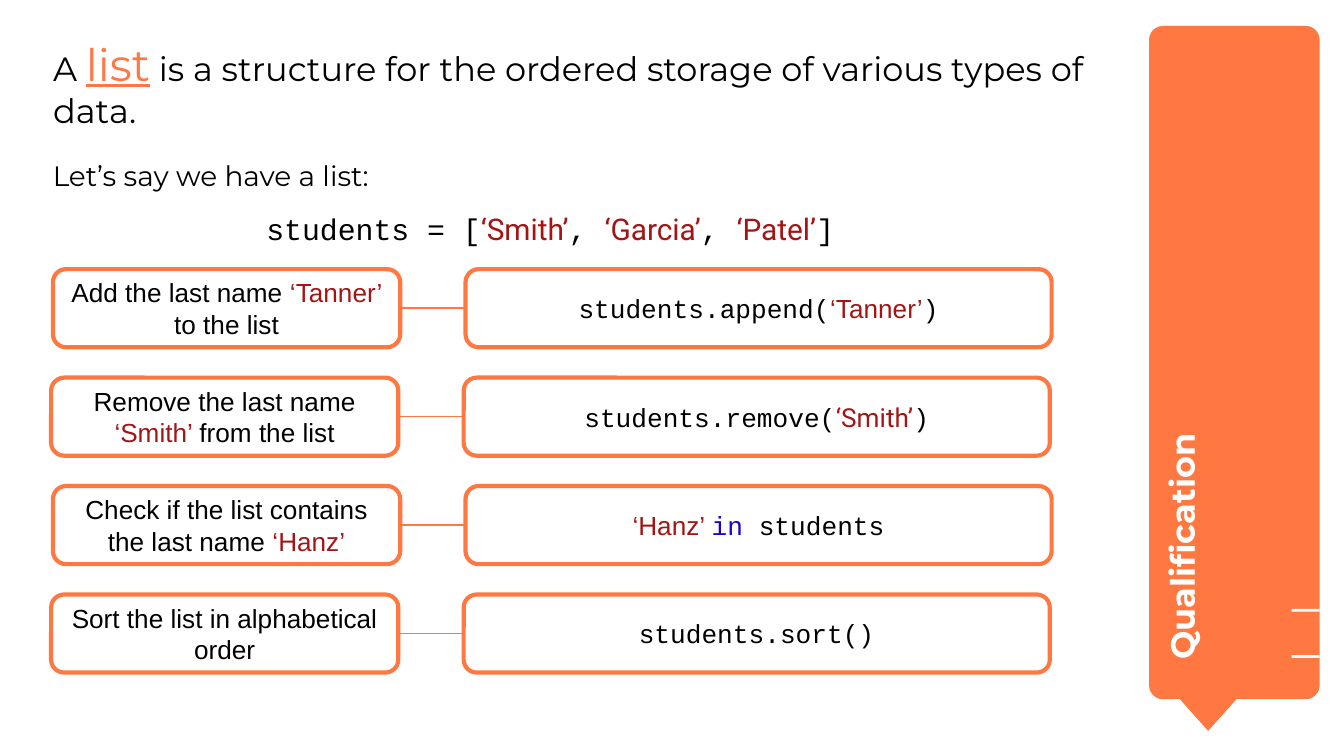
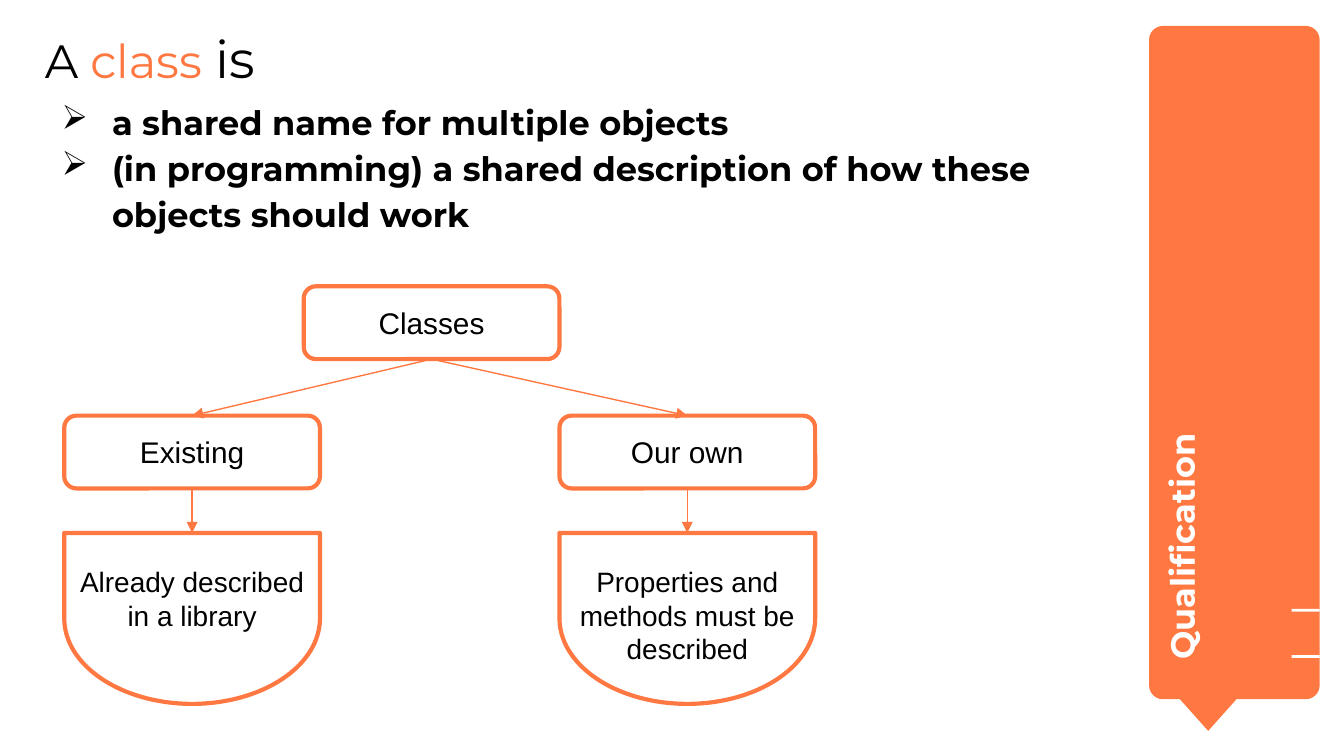
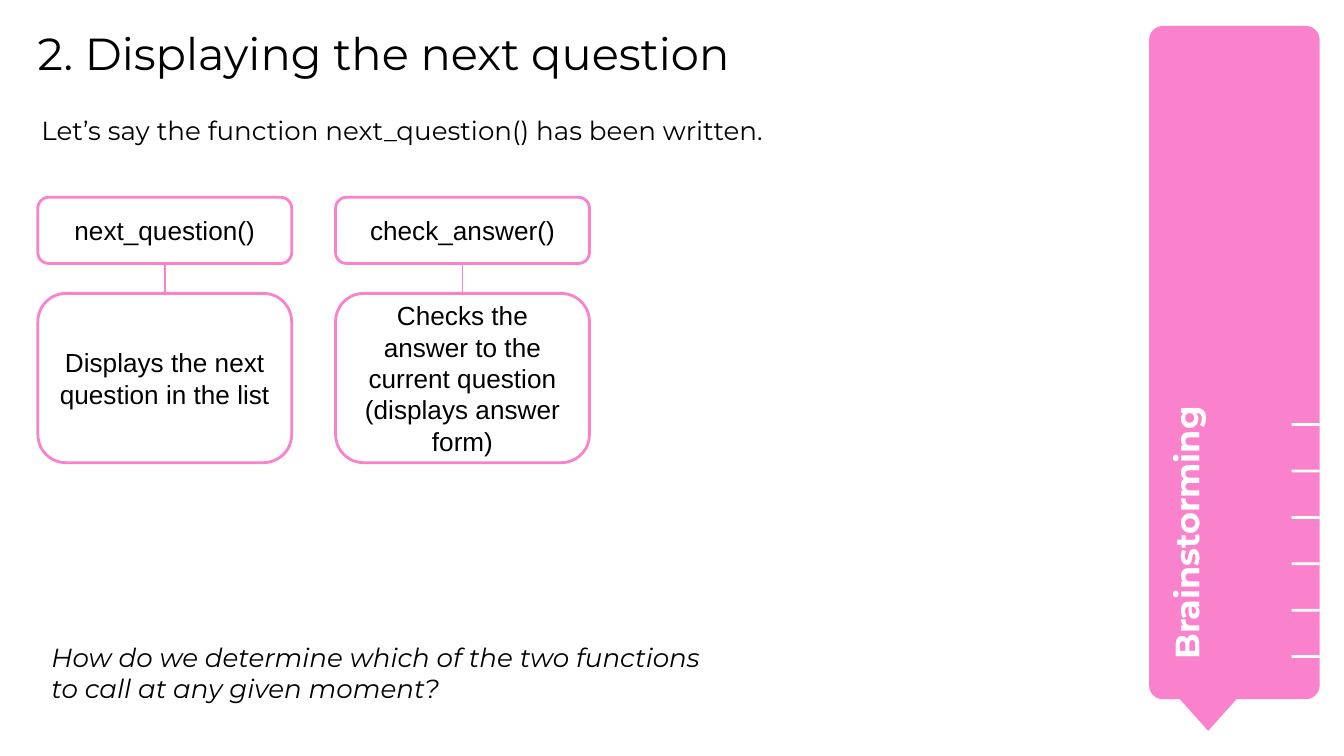
from pptx import Presentation
from pptx.dml.color import RGBColor
from pptx.enum.shapes import MSO_CONNECTOR, MSO_SHAPE
from pptx.enum.text import MSO_ANCHOR, MSO_AUTO_SIZE, PP_ALIGN
from pptx.oxml.ns import qn
from pptx.util import Pt
from lxml import etree

ROUND, MERGE = MSO_SHAPE.ROUNDED_RECTANGLE, MSO_SHAPE.FLOWCHART_MERGE
DELAY, RECT = MSO_SHAPE.FLOWCHART_DELAY, MSO_SHAPE.RECTANGLE
STRAIGHT = MSO_CONNECTOR.STRAIGHT
LEFT, CENTER = PP_ALIGN.LEFT, PP_ALIGN.CENTER
TOP, MIDDLE = MSO_ANCHOR.TOP, MSO_ANCHOR.MIDDLE
NO_FIT = MSO_AUTO_SIZE.NONE
SITE = {"top": 0, "left": 1, "bottom": 2, "right": 3}

# Shared colours and text formats
COLORS = {
    "orange": "FF7842", "pink": "FA82CC", "white": "FFFFFF",
    "black": "000000", "red": "A31515", "blue": "1C00CF",
}
SANS = {"name": "Montserrat", "color": "black"}
PLAIN = {"name": "Arial", "size": 14, "color": "black"}
CODE = {**PLAIN, "name": "Courier New"}
TAB = {**SANS, "size": 18, "bold": True, "color": "white"}
RED = {"color": "red"}
RED_ARIAL = {**RED, "name": "Arial"}
RED_ROBOTO = {**RED, "name": "Roboto"}


def rgb(name):
    return RGBColor.from_string(COLORS[name])


# Text
def write(para, runs, base, align=LEFT, **space):
    """Fill a paragraph with strings or (string, format changes) pairs."""
    para.alignment = align
    for key, value in space.items():
        setattr(para, key, value)
    for item in [runs] if isinstance(runs, str) else runs:
        text, change = (item, {}) if isinstance(item, str) else item
        run = para.add_run()
        run.text = text
        for key, value in {**base, **change}.items():
            if key == "color":
                run.font.color.rgb = rgb(value)
            else:
                setattr(run.font, key, Pt(value) if key == "size" else value)


def frame(shape, inset=7.2, anchor=TOP):
    body = shape.text_frame
    form = {"word_wrap": True, "auto_size": NO_FIT, "vertical_anchor": anchor}
    for side in ("left", "right", "top", "bottom"):
        form["margin_" + side] = Pt(inset)
    for key, value in form.items():
        setattr(body, key, value)
    return body


def note(slide, area, runs, base, align=LEFT, inset=7.2):
    box = slide.shapes.add_textbox(*map(Pt, area))
    write(frame(box, inset).paragraphs[0], runs, base, align)
    return box


def title(slide, area, runs, base, **space):
    head = slide.shapes.title
    head.left, head.top, head.width, head.height = map(Pt, area)
    write(frame(head, 0).paragraphs[0], runs, base, **space)


def bullet(para, text, base):
    write(para, text, base, line_spacing=1.15)
    props = para._p.get_or_add_pPr()
    props.set("marL", str(Pt(36)))
    props.set("indent", str(-Pt(27)))
    etree.SubElement(props, qn("a:buChar")).set("char", "➢")


# Shapes and lines
def solid(shapes, kind, area, fill, line=None, width=2.25):
    shape = shapes.add_shape(kind, *map(Pt, area))
    shape.shadow.inherit = False
    shape.fill.solid()
    shape.fill.fore_color.rgb = rgb(fill)
    if line:
        shape.line.color.rgb = rgb(line)
        shape.line.width = Pt(width)
    else:
        shape.line.fill.background()
    return shape


def card(slide, area, runs, base, line="orange", width=2.25):
    shape = solid(slide.shapes, ROUND, area, "white", line, width)
    write(frame(shape, anchor=MIDDLE).paragraphs[0], runs, base, CENTER)
    return shape


def link(slide, start, out, end, into, color="orange", arrow=False):
    line = slide.shapes.add_connector(STRAIGHT, 0, 0, 0, 0)
    line.begin_connect(start, SITE[out])
    line.end_connect(end, SITE[into])
    if end.rotation:  # a quarter turn brings the left site to the top
        line.end_x = end.left + end.width // 2
        line.end_y = end.top + (end.height - end.width) // 2
    line.line.color.rgb = rgb(color)
    line.line.width = Pt(0.75)
    props = line.element.spPr
    if arrow:
        tail = etree.SubElement(props.find(qn("a:ln")), qn("a:tailEnd"))
        tail.set("type", "triangle")
    etree.SubElement(props, qn("a:effectLst"))


# Side band with its label and tick marks
def band(slide, label, area, color, ticks):
    group = slide.shapes.add_group_shape().shapes
    solid(group, ROUND, (615.6, 13.9, 91.4, 360.7), color).adjustments[0] = 0.081
    solid(group, MERGE, (623.5, 365, 47.5, 26.6), color)
    for i in range(ticks):
        solid(slide.shapes, RECT, (691.9, 351 - 24.85 * i, 15.1, 1.5), "white")
    note(slide, area, label, TAB).rotation = 270


def lists(slide):
    band(slide, "Qualification", (510.5, 190, 275, 66.2), "orange", 2)
    title(slide, (28.4, 19.4, 555.8, 62.6),
          ["A ", ("list", {"size": 24, "color": "orange", "underline": True}),
           " is a structure for the ordered storage of various types of data."],
          {**SANS, "size": 18}, space_after=Pt(10))
    intro = note(slide, (21.2, 77.8, 547.2, 38.2), "Let’s say we have a list:",
                 {**SANS, "size": 15})
    write(intro.text_frame.add_paragraph(),
          ["students = [", ("‘Smith’", RED_ROBOTO), ", ", ("‘Garcia’", RED_ROBOTO),
           ", ", ("‘Patel’", RED_ROBOTO), "]"],
          {**CODE, "size": 16}, CENTER, space_before=Pt(10))

    # Tasks and the code for each
    rows = [
        (["Add the last name ", ("‘Tanner’ ", RED), "to the list"],
         ["students.append(", ("‘Tanner’", RED_ARIAL), ")"]),
        (["Remove the last name ", ("‘Smith’ ", RED), "from the list"],
         ["students.remove(", ("‘Smith’", RED_ROBOTO), ")"]),
        (["Check if the list contains the last name ", ("‘Hanz’", RED)],
         [("‘Hanz’ ", RED_ARIAL), ("in", {"color": "blue"}), " students"]),
        ("Sort the list in alphabetical order", "students.sort()"),
    ]
    for i, (task, code) in enumerate(rows):
        x, y = 28.4 - i % 2, 144.2 + 58.1 * i
        left = card(slide, (x, y, 186, 41.8), task, PLAIN)
        right = card(slide, (x + 221, y, 314, 41.8), code, CODE)
        link(slide, left, "right", right, "left")


def classes(slide):
    band(slide, "Qualification", (510.5, 190, 275, 66.2), "orange", 2)
    title(slide, (24, 13.9, 569.5, 35),
          ["A", (" class", {"color": "orange"}), (" is", {"size": 28})],
          {**SANS, "size": 25})
    bold = {**SANS, "size": 18, "bold": True}
    points = slide.shapes.add_textbox(*map(Pt, (24, 51.2, 569.5, 86)))
    body = frame(points, 0)
    bullet(body.paragraphs[0], "a shared name for multiple objects", bold)
    bullet(body.add_paragraph(), "(in programming) a shared description of how "
           "these objects should work", bold)

    # Tree of classes
    label = {**PLAIN, "size": 16}
    root = card(slide, (162.7, 153.4, 137, 39), "Classes", label)
    branches = [
        (34.4, "Existing", "Already described in a library"),
        (299.7, "Our own", "Properties and methods must be described"),
    ]
    for x, name, text in branches:
        kind = card(slide, (x, 222.7, 137, 39), name, label)
        leaf = solid(slide.shapes, DELAY, (x + 22.7, 262.8, 91.6, 137),
                     "white", "orange")
        leaf.rotation = 90
        note(slide, (x - 4.5, 295.2, 146, 63.4), text,
             {**PLAIN, "size": 15}, CENTER)
        link(slide, root, "bottom", kind, "top", arrow=True)
        link(slide, kind, "bottom", leaf, "left", arrow=True)


def display(slide):
    title(slide, (20.2, 13.9, 569.5, 40), "2. Displaying the next question",
          {**SANS, "size": 24})
    band(slide, "Brainstorming", (514, 208.8, 255, 48.2), "pink", 6)
    text = {**SANS, "size": 14}
    note(slide, (15.1, 54, 581, 35.3),
         "Let’s say the function next_question() has been written.", text)

    # Functions and what they do
    jobs = [
        ("next_question()", "Displays the next question in the list"),
        ("check_answer()", "Checks the answer to the current question "
                           "(displays answer form)"),
    ]
    for i, (name, job) in enumerate(jobs):
        x = 20.3 + 159.5 * i
        head = card(slide, (x, 105.7, 136, 35.5), name, PLAIN, "pink", 1.5)
        foot = card(slide, (x, 157.2, 136, 90.7), job, PLAIN, "pink", 1.5)
        link(slide, head, "bottom", foot, "top", "pink")
    note(slide, (20.5, 336.2, 363, 50.4), "How do we determine which of the two "
         "functions to call at any given moment?", {**text, "italic": True})


def main():
    deck = Presentation()
    deck.slide_width, deck.slide_height = Pt(720), Pt(405)
    for build in (lists, classes, display):
        build(deck.slides.add_slide(deck.slide_layouts[5]))
    deck.save("out.pptx")


if __name__ == "__main__":
    main()
